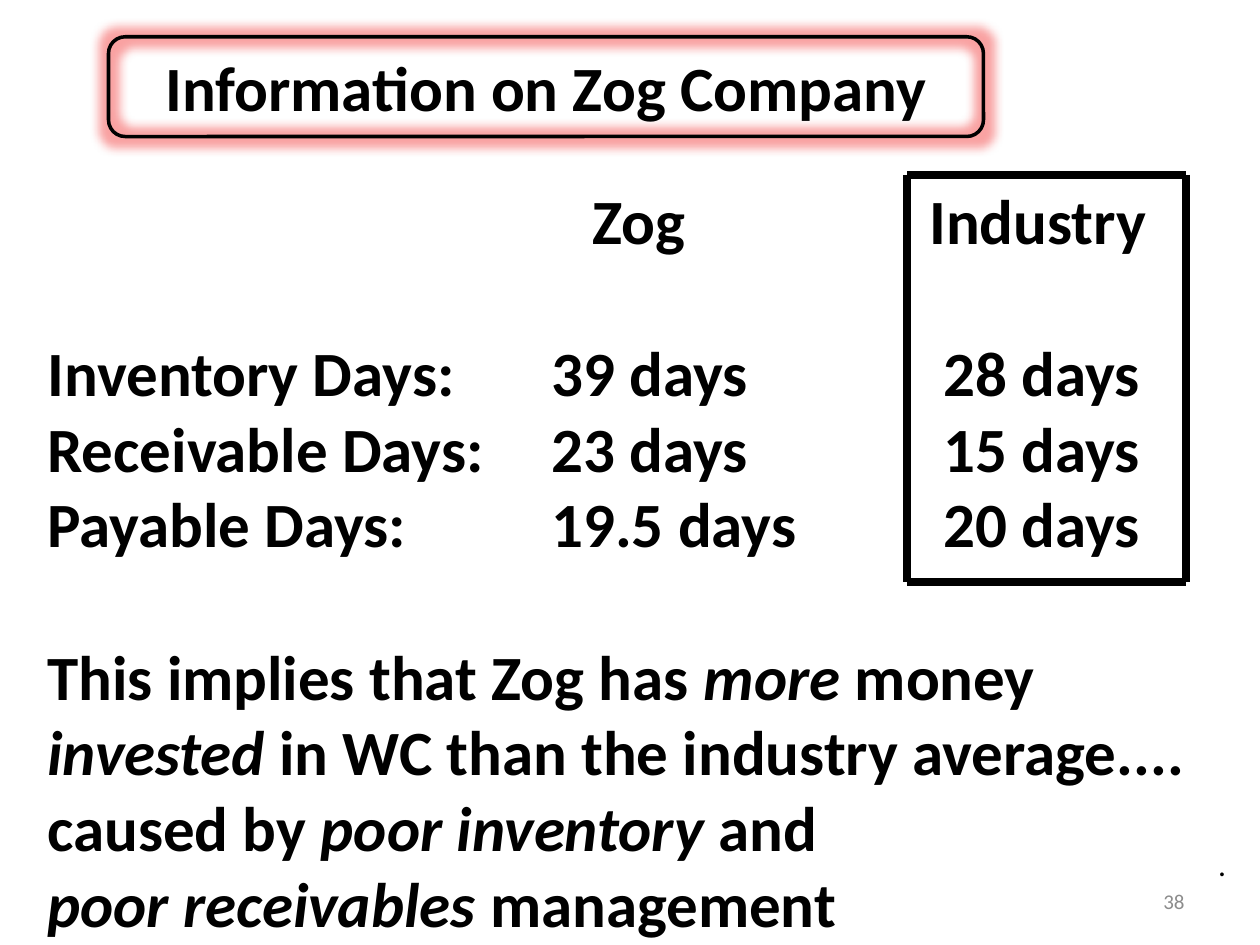
import pptx
import pptx.dml.color
import pptx.enum.shapes
import pptx.enum.text
import pptx.oxml
import pptx.oxml.ns
import pptx.util

Pt = pptx.util.Pt
ALIGN = pptx.enum.text.PP_ALIGN
ANCHOR = pptx.enum.text.MSO_ANCHOR

THEME = {
    "font": "Calibri",
    "ink": "000000",
    "muted": "8C8C8C",
    "glow": "F01818",
    "main_size": 36,
    "dot_size": 18,
    "number_size": 12,
}
LINE = 43.9  # height of one line of main text
HEADER_TABS = (311.5, 504)
VALUE_TABS = (288, 512)

TITLE = "Information on Zog Company"
HEADER = ("Zog", "Industry")
ROWS = [
    ("Inventory Days:", "39 days", "28 days"),
    ("Receivable Days:", "23 days", "15 days"),
    ("Payable Days:", "19.5 days", "20 days"),
]
# Each line is a list of (text, italic) runs.
CONCLUSION = [
    [("This implies that Zog has ", False), ("more ", True), ("money", False)],
    [("invested", True), (" in WC than the industry average....", False)],
    [("caused by ", False), ("poor inventory ", True), ("and", False)],
    [("poor receivables ", True), ("management", False)],
]

TITLE_BOX = (62, 21, 500, 57)
BODY_BOX = (20, 100, 692, 440)
DOT_BOX = (689, 479.5, 20, 29)
NUMBER_BOX = (516, 500.5, 168, 29)
INDUSTRY_CORNERS = [(518.4, 100), (677.5, 100), (677.5, 332.5), (518.4, 332.5)]


def color(name):
    return pptx.dml.color.RGBColor.from_string(THEME[name])


def add_effects(shape, content=""):
    """Replace inherited effects with the given effect XML."""
    namespace = pptx.oxml.ns.nsdecls("a")
    shape._element.spPr.append(
        pptx.oxml.parse_xml(f"<a:effectLst {namespace}>{content}</a:effectLst>"))


def add_run(paragraph, text, size="main_size", ink="ink", bold=True, italic=False):
    run = paragraph.add_run()
    run.text = text
    values = {"name": THEME["font"], "size": Pt(THEME[size]), "bold": bold, "italic": italic}
    for name, value in values.items():
        setattr(run.font, name, value)
    run.font.color.rgb = color(ink)


def add_tabs(paragraph, positions):
    stops = "".join(f'<a:tab pos="{Pt(position)}" algn="l"/>' for position in positions)
    namespace = pptx.oxml.ns.nsdecls("a")
    paragraph._p.get_or_add_pPr().append(
        pptx.oxml.parse_xml(f"<a:tabLst {namespace}>{stops}</a:tabLst>"))


def add_label(slide, box, text, size, ink, **frame_values):
    frame = slide.shapes.add_textbox(*map(Pt, box)).text_frame
    frame.word_wrap = True
    for name, value in frame_values.items():
        setattr(frame, name, value)
    add_run(frame.paragraphs[0], text, size, ink, bold=False)
    return frame.paragraphs[0]


def add_title(slide):
    kind = pptx.enum.shapes.MSO_SHAPE.ROUNDED_RECTANGLE
    shape = slide.shapes.add_shape(kind, *map(Pt, TITLE_BOX))
    shape.fill.background()
    shape.line.color.rgb = color("ink")
    shape.line.width = Pt(2)
    add_effects(shape, f'<a:glow rad="{Pt(11)}"><a:srgbClr val="{THEME["glow"]}">'
                       '<a:alpha val="40000"/></a:srgbClr></a:glow>')
    shape.text_frame.vertical_anchor = ANCHOR.MIDDLE
    paragraph = shape.text_frame.paragraphs[0]
    paragraph.alignment = ALIGN.CENTER
    add_run(paragraph, TITLE)


def add_body(slide):
    frame = slide.shapes.add_textbox(*map(Pt, BODY_BOX)).text_frame
    frame.word_wrap = True
    header = frame.paragraphs[0]
    add_tabs(header, HEADER_TABS)
    add_run(header, "\t" + "\t".join(HEADER))
    for index, row in enumerate(ROWS):
        paragraph = frame.add_paragraph()
        paragraph.space_before = Pt(0 if index else LINE)
        add_tabs(paragraph, VALUE_TABS)
        add_run(paragraph, "\t".join(row))
    for index, runs in enumerate(CONCLUSION):
        paragraph = frame.add_paragraph()
        paragraph.space_before = Pt(0 if index else LINE)
        for text, italic in runs:
            add_run(paragraph, text, italic=italic)


def add_industry_frame(slide):
    straight = pptx.enum.shapes.MSO_CONNECTOR.STRAIGHT
    next_corners = INDUSTRY_CORNERS[1:] + INDUSTRY_CORNERS[:1]
    for start, end in zip(INDUSTRY_CORNERS, next_corners):
        connector = slide.shapes.add_connector(straight, *map(Pt, start + end))
        connector.line.color.rgb = color("ink")
        connector.line.width = Pt(4.5)
        add_effects(connector)


def main():
    presentation = pptx.Presentation()
    presentation.slide_width, presentation.slide_height = Pt(720), Pt(540)
    slide = presentation.slides.add_slide(presentation.slide_layouts[6])
    number = add_label(slide, NUMBER_BOX, "38", "number_size", "muted",
                       vertical_anchor=ANCHOR.MIDDLE)
    number.alignment = ALIGN.RIGHT
    add_title(slide)
    add_body(slide)
    add_industry_frame(slide)
    add_label(slide, DOT_BOX, ".", "dot_size", "ink")
    presentation.save("out.pptx")


if __name__ == "__main__":
    main()
